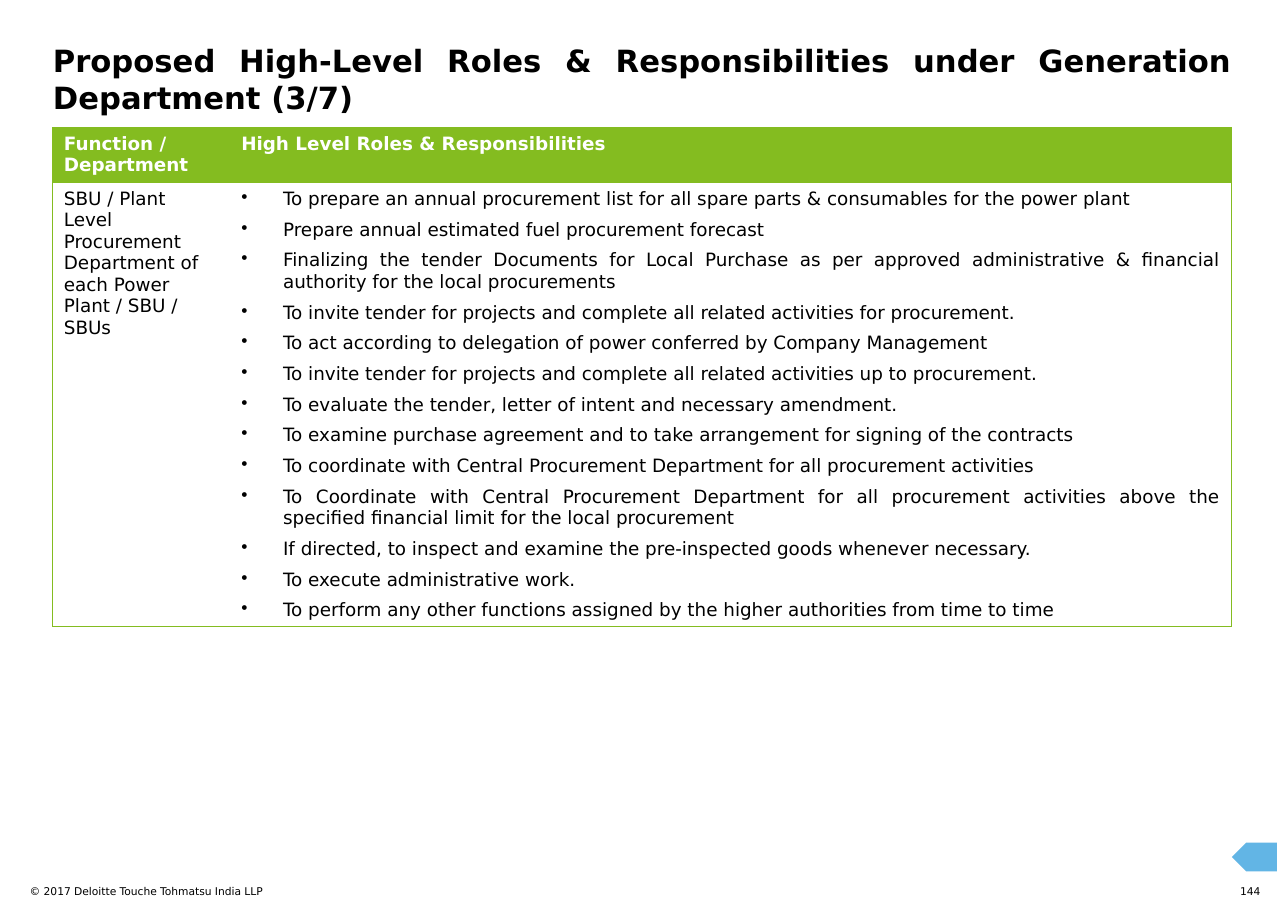
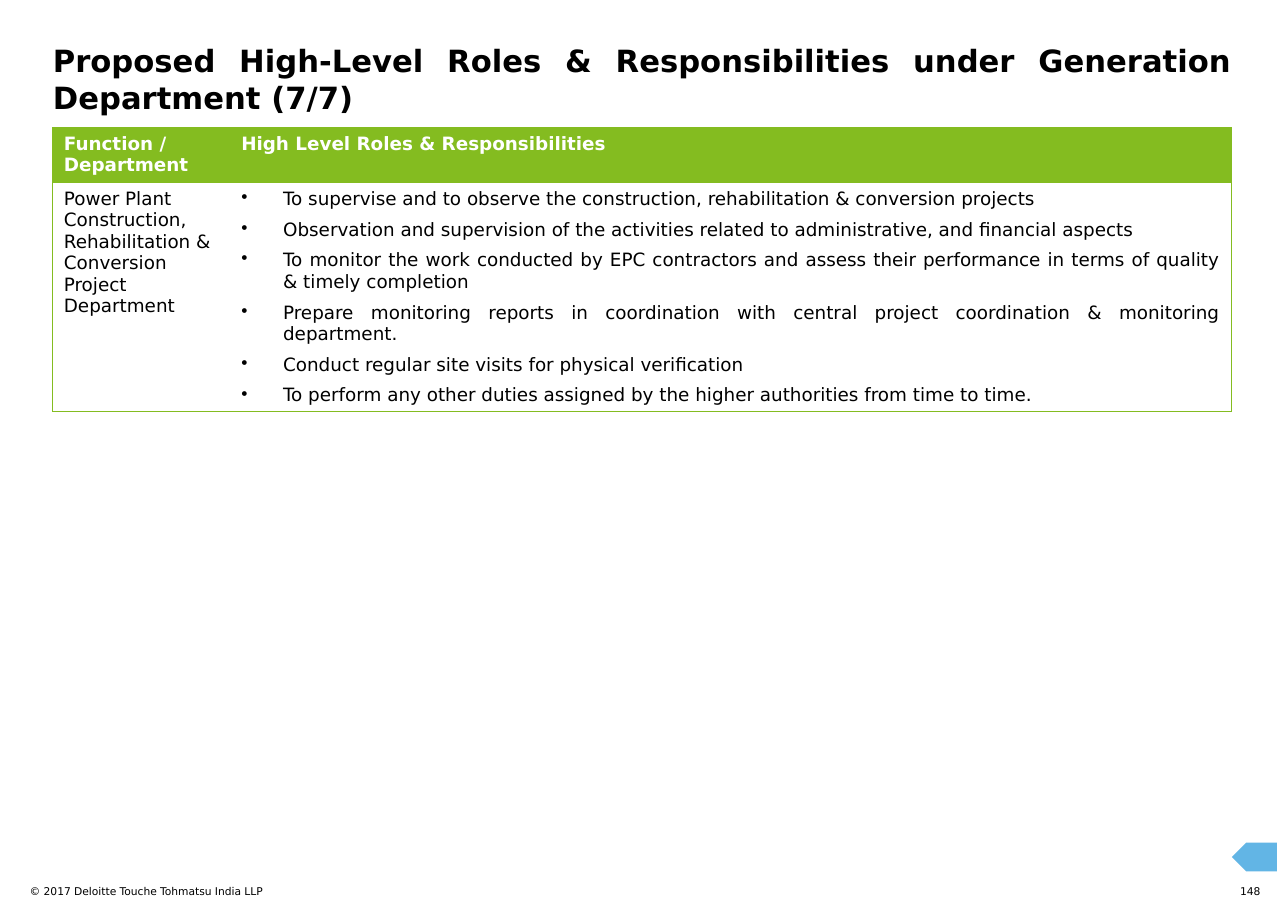
from dataclasses import dataclass

from lxml import etree
from pptx import Presentation
from pptx.dml.color import RGBColor
from pptx.enum.shapes import MSO_SHAPE
from pptx.enum.text import MSO_ANCHOR, MSO_AUTO_SIZE, PP_ALIGN
from pptx.oxml.ns import qn
from pptx.util import Inches, Pt

PENTAGON = MSO_SHAPE.PENTAGON
TOP = MSO_ANCHOR.TOP
NO_AUTOFIT = MSO_AUTO_SIZE.NONE
LEFT, RIGHT, JUSTIFY = PP_ALIGN.LEFT, PP_ALIGN.RIGHT, PP_ALIGN.JUSTIFY
TITLE_ONLY_LAYOUT = 5
PLAIN_TABLE_STYLE = "{2D5ABB26-0587-4C30-8999-92F81FD0307C}"


@dataclass(frozen=True)
class Theme:
    font: str = "DejaVu Sans"
    green: str = "84BC20"
    blue: str = "62B5E5"
    black: str = "000000"
    white: str = "FFFFFF"
    title_size: float = 20
    table_size: float = 12
    footer_size: float = 7
    border_width: float = 0.75
    bullet_gap: float = 6
    bullet_indent: float = 0.38


THEME = Theme()
SLIDE_WIDTH, SLIDE_HEIGHT = 11.69, 8.27
TITLE_BOX = (0.48, 0.38, 10.7, 0.72)
TABLE_BOX = (0.48, 1.16, 10.7)
DEPARTMENT_WIDTH = 1.61
HEADER_HEIGHT = 0.5
COPYRIGHT_BOX = (0.27, 8.03, 5.13, 0.24)
NUMBER_BOX = (11.14, 8.03, 0.3, 0.12)
TAG_BOX = (11.18, 7.65, 0.41, 0.26)

TITLE = "Proposed High-Level Roles & Responsibilities under Generation Department ({}/7)"
HEADINGS = ("Function / Department", "High Level Roles & Responsibilities")
COPYRIGHT = "© 2017 Deloitte Touche Tohmatsu India LLP"

SLIDES = [
    {
        "part": 3,
        "number": 144,
        "body_height": 4.03,
        "department": "SBU / Plant Level Procurement Department of each Power Plant / SBU / SBUs",
        "roles": [
            "To prepare an annual procurement list for all spare parts & consumables for the power plant",
            "Prepare annual estimated fuel procurement forecast",
            "Finalizing the tender Documents for Local Purchase as per approved administrative & "
            "financial authority for the local procurements",
            "To invite tender for projects and complete all related activities for procurement.",
            "To act according to delegation of power conferred by Company Management",
            "To invite tender for projects and complete all related activities up to procurement.",
            "To evaluate the tender, letter of intent and necessary amendment.",
            "To examine purchase agreement and to take arrangement for signing of the contracts",
            "To coordinate with Central Procurement Department for all procurement activities",
            "To Coordinate with Central Procurement Department for all procurement activities "
            "above the specified financial limit for the local procurement",
            "If directed, to inspect and examine the pre-inspected goods whenever necessary.",
            "To execute administrative work.",
            "To perform any other functions assigned by the higher authorities from time to time",
        ],
    },
    {
        "part": 7,
        "number": 148,
        "body_height": 2.08,
        "department": "Power Plant Construction, Rehabilitation & Conversion Project Department",
        "roles": [
            "To supervise and to observe the construction, rehabilitation & conversion projects",
            "Observation and supervision of the activities related to administrative, and financial aspects",
            "To monitor the work conducted by EPC contractors and assess their performance in "
            "terms of quality & timely completion",
            "Prepare monitoring reports in coordination with central project coordination & "
            "monitoring department.",
            "Conduct regular site visits for physical verification",
            "To perform any other duties assigned by the higher authorities from time to time.",
        ],
    },
]


def lengths(box):
    return [Inches(value) for value in box]


def write_text(frame, *texts, size, color=THEME.black, bold=False, align=LEFT, bullets=False):
    frame.word_wrap = True
    for index, text in enumerate(texts):
        paragraph = frame.add_paragraph() if index else frame.paragraphs[0]
        paragraph.alignment = align
        if index:
            paragraph.space_before = Pt(THEME.bullet_gap)
        if bullets:
            properties = paragraph._p.get_or_add_pPr()
            indent = Inches(THEME.bullet_indent)
            properties.set("marL", str(indent))
            properties.set("indent", str(-indent))
            etree.SubElement(properties, qn("a:buChar"), char="•")
        run = paragraph.add_run()
        run.text = text
        run.font.name = THEME.font
        run.font.size = Pt(size)
        run.font.bold = bold
        run.font.color.rgb = RGBColor.from_string(color)


def clear_margins(frame):
    frame.margin_left = frame.margin_top = frame.margin_right = frame.margin_bottom = 0
    frame.vertical_anchor = TOP
    frame.auto_size = NO_AUTOFIT


def add_title(slide, box, text):
    title = slide.shapes.title
    title.left, title.top, title.width, title.height = lengths(box)
    clear_margins(title.text_frame)
    write_text(title.text_frame, text, size=THEME.title_size, bold=True, align=JUSTIFY)


def add_label(slide, box, text, align=LEFT):
    label = slide.shapes.add_textbox(*lengths(box))
    clear_margins(label.text_frame)
    write_text(label.text_frame, text, size=THEME.footer_size, align=align)


def set_borders(cell, sides):
    properties = cell._tc.get_or_add_tcPr()
    for side in sides:
        line = etree.SubElement(properties, qn(f"a:ln{side}"), w=str(Pt(THEME.border_width)))
        fill = etree.SubElement(line, qn("a:solidFill"))
        etree.SubElement(fill, qn("a:srgbClr"), val=THEME.green)


def add_roles_table(slide, box, department, roles, body_height):
    left, top, width = box
    frame = slide.shapes.add_table(2, 2, *lengths((left, top, width, HEADER_HEIGHT + body_height)))
    table = frame.table
    table.first_row = table.horz_banding = False
    table._tbl.tblPr.find(qn("a:tableStyleId")).text = PLAIN_TABLE_STYLE
    for column, column_width in zip(table.columns, (DEPARTMENT_WIDTH, width - DEPARTMENT_WIDTH)):
        column.width = Inches(column_width)
    for row, row_height in zip(table.rows, (HEADER_HEIGHT, body_height)):
        row.height = Inches(row_height)

    for row_index, (edge, color) in enumerate((("T", THEME.green), ("B", THEME.white))):
        for column_index, side in enumerate("LR"):
            cell = table.cell(row_index, column_index)
            set_borders(cell, (side, edge))
            cell.fill.solid()
            cell.fill.fore_color.rgb = RGBColor.from_string(color)
            cell.vertical_anchor = TOP

    for column_index, heading in enumerate(HEADINGS):
        write_text(table.cell(0, column_index).text_frame, heading,
                   size=THEME.table_size, color=THEME.white, bold=True)
    write_text(table.cell(1, 0).text_frame, department, size=THEME.table_size)
    write_text(table.cell(1, 1).text_frame, *roles,
               size=THEME.table_size, align=JUSTIFY, bullets=True)


def add_back_tag(slide, box):
    tag = slide.shapes.add_shape(PENTAGON, *lengths(box))
    tag.rotation = 180
    tag.shadow.inherit = False
    tag.fill.solid()
    tag.fill.fore_color.rgb = RGBColor.from_string(THEME.blue)
    tag.line.fill.background()


def add_footer(slide, number):
    add_label(slide, COPYRIGHT_BOX, COPYRIGHT)
    add_label(slide, NUMBER_BOX, str(number), align=RIGHT)
    add_back_tag(slide, TAG_BOX)


def add_roles_slide(presentation, part, number, department, roles, body_height):
    slide = presentation.slides.add_slide(presentation.slide_layouts[TITLE_ONLY_LAYOUT])
    add_title(slide, TITLE_BOX, TITLE.format(part))
    add_roles_table(slide, TABLE_BOX, department, roles, body_height)
    add_footer(slide, number)


def main():
    presentation = Presentation()
    presentation.slide_width = Inches(SLIDE_WIDTH)
    presentation.slide_height = Inches(SLIDE_HEIGHT)
    for content in SLIDES:
        add_roles_slide(presentation, **content)
    presentation.save("out.pptx")


if __name__ == "__main__":
    main()
